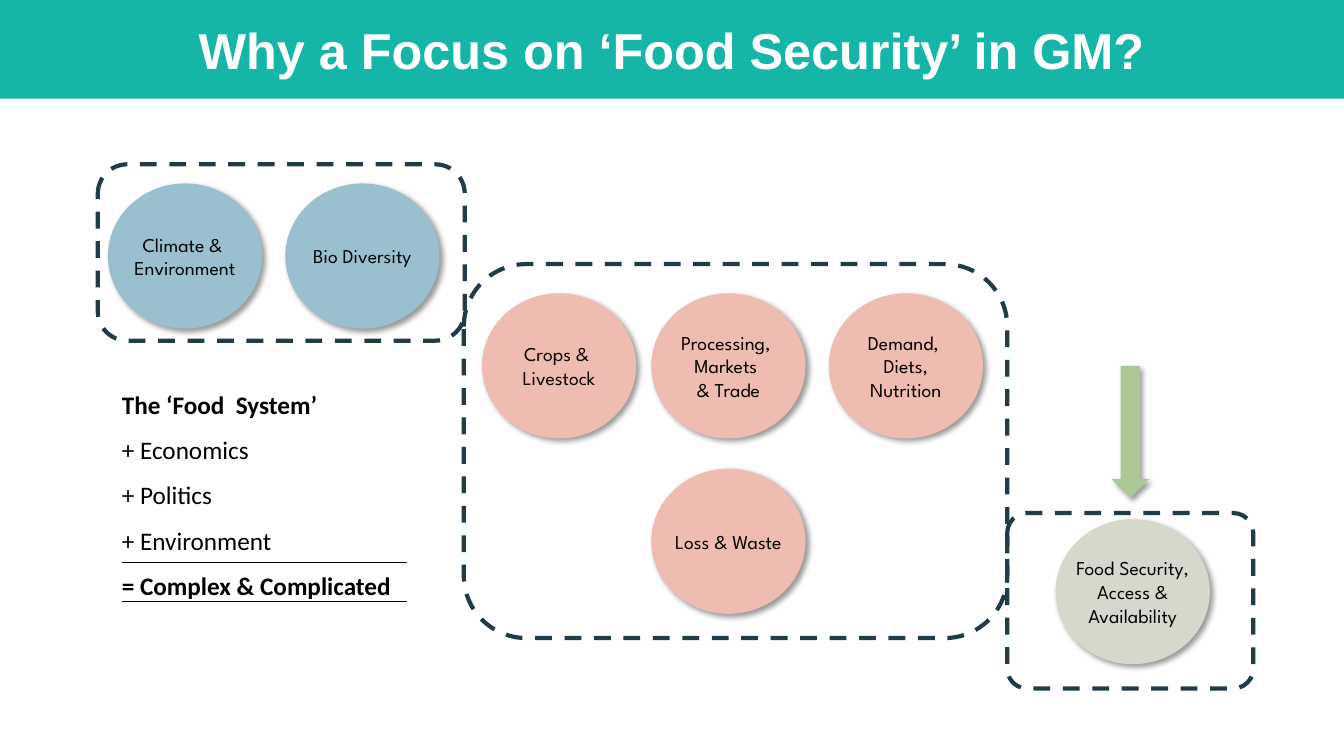
"""Build the food security slide with its food system diagram."""
from lxml import etree
from pptx import Presentation
from pptx.dml.color import RGBColor
from pptx.enum.dml import MSO_LINE
from pptx.enum.shapes import MSO_CONNECTOR, MSO_SHAPE
from pptx.enum.text import MSO_ANCHOR, PP_ALIGN
from pptx.oxml import parse_xml
from pptx.oxml.ns import nsdecls, qn
from pptx.util import Inches, Pt

RECTANGLE, ROUNDED = MSO_SHAPE.RECTANGLE, MSO_SHAPE.ROUNDED_RECTANGLE
OVAL, DOWN_ARROW = MSO_SHAPE.OVAL, MSO_SHAPE.DOWN_ARROW
STRAIGHT, DASH = MSO_CONNECTOR.STRAIGHT, MSO_LINE.DASH
LEFT, CENTER = PP_ALIGN.LEFT, PP_ALIGN.CENTER
TOP, MIDDLE = MSO_ANCHOR.TOP, MSO_ANCHOR.MIDDLE

TEAL = RGBColor(0x15, 0xB5, 0xA8)
NAVY = RGBColor(0x21, 0x3B, 0x47)
BLUE = RGBColor(0x9A, 0xC0, 0xD0)
PINK = RGBColor(0xEE, 0xBC, 0xB1)
SAGE = RGBColor(0xD5, 0xD9, 0xCB)
GREEN = RGBColor(0xAC, 0xC9, 0x95)
WHITE = RGBColor(0xFF, 0xFF, 0xFF)
BLACK = RGBColor(0, 0, 0)

SLIDE_WIDTH, SLIDE_HEIGHT = 13.33, 7.5
TITLE = "Why a Focus on ‘Food Security’ in GM?"
GROUPS = [
    ((0.97, 1.63, 3.64, 1.75), 0.167),
    ((4.6, 2.62, 5.39, 3.71), 0.167),
    ((9.99, 5.09, 2.44, 1.74), 0.113),
]
CIRCLE_WIDTH, CIRCLE_HEIGHT = 1.53, 1.44
CIRCLE_ROWS = [
    (1.82, BLUE, [(1.07, ["Climate & ", "Environment"]),
                  (2.83, ["Bio Diversity"])]),
    (2.91, PINK, [(4.78, ["Crops & ", "Livestock"]),
                  (6.46, ["Processing, ", "Markets ", "& Trade"]),
                  (8.22, ["Demand, ", "Diets,", "Nutrition"])]),
    (4.65, PINK, [(6.46, ["Loss & Waste"])]),
    (5.15, SAGE, [(10.47, ["Food Security,", "Access &", "Availability"])]),
]
ARROW = (11.02, 3.63, 0.38, 1.31)
SYSTEM_BOX = (1.11, 3.66, 3.15, 2.68)
SYSTEM_LINES = ["The ‘Food  System’", "+ Economics", "+ Politics",
                "+ Environment", "= Complex & Complicated"]
SYSTEM_BOLD = (0, 4)
RULE_LEFT, RULE_RIGHT = 1.21, 4.04
RULE_TOPS = (5.58, 5.97)
SHADOW = (
    f'<a:outerShdw {nsdecls("a")} blurRad="{Pt(4)}" dist="{Pt(3)}" '
    'dir="2700000" algn="tl" rotWithShape="0">'
    '<a:srgbClr val="000000"><a:alpha val="40000"/></a:srgbClr></a:outerShdw>'
)


def write_text(box, lines, *, font, size, color=BLACK, bold=(), align=CENTER,
               anchor=MIDDLE, wrap=True, spacing=None):
    """Fill a shape with paragraphs; bold lists the bold line numbers."""
    frame = box.text_frame
    frame.word_wrap = wrap
    frame.vertical_anchor = anchor
    for number, line in enumerate(lines):
        para = frame.paragraphs[0] if number == 0 else frame.add_paragraph()
        para.alignment = align
        if spacing:
            para.line_spacing = spacing
        span = para.add_run()
        span.text = line
        span.font.name = font
        span.font.size = Pt(size)
        span.font.bold = number in bold
        span.font.color.rgb = color


def add_figure(page, kind, place, fill=None, shadow=False):
    """Add a preset shape without outline, filled or see-through."""
    figure = page.shapes.add_shape(kind, *map(Inches, place))
    if fill is None:
        figure.fill.background()
    else:
        figure.fill.solid()
        figure.fill.fore_color.rgb = fill
    figure.line.fill.background()
    figure.shadow.inherit = False
    if shadow:
        effects = figure.element.spPr.find(qn("a:effectLst"))
        effects.append(parse_xml(SHADOW))
    return figure


def add_group(page, place, rounding):
    """Add a dashed rounded frame."""
    group = add_figure(page, ROUNDED, place)
    group.adjustments[0] = rounding
    group.line.color.rgb = NAVY
    group.line.width = Pt(3)
    group.line.dash_style = DASH


def add_rule(page, top):
    """Add a thin line across the food system list."""
    rule = page.shapes.add_connector(
        STRAIGHT, Inches(RULE_LEFT), Inches(top), Inches(RULE_RIGHT), Inches(top))
    rule.line.color.rgb = BLACK
    rule.line.width = Pt(0.5)
    etree.SubElement(rule.element.spPr, qn("a:effectLst"))


def main():
    """Lay out the slide and save the deck."""
    deck = Presentation()
    deck.slide_width, deck.slide_height = Inches(SLIDE_WIDTH), Inches(SLIDE_HEIGHT)
    page = deck.slides.add_slide(deck.slide_layouts[6])

    banner = add_figure(page, RECTANGLE, (0, 0, SLIDE_WIDTH, 0.98), TEAL)
    write_text(banner, [TITLE], font="Arial", size=36, color=WHITE, bold=(0,))

    for place, rounding in GROUPS:
        add_group(page, place, rounding)

    for top, color, circles in CIRCLE_ROWS:
        for left, lines in circles:
            place = (left, top, CIRCLE_WIDTH, CIRCLE_HEIGHT)
            circle = add_figure(page, OVAL, place, color, shadow=True)
            write_text(circle, lines, font="League Spartan", size=14, wrap=False)

    add_figure(page, DOWN_ARROW, ARROW, GREEN, shadow=True)

    system = page.shapes.add_textbox(*map(Inches, SYSTEM_BOX))
    write_text(system, SYSTEM_LINES, font="Calibri", size=18, bold=SYSTEM_BOLD,
               align=LEFT, anchor=TOP, spacing=1.5)
    for top in RULE_TOPS:
        add_rule(page, top)

    deck.save("out.pptx")


if __name__ == "__main__":
    main()
